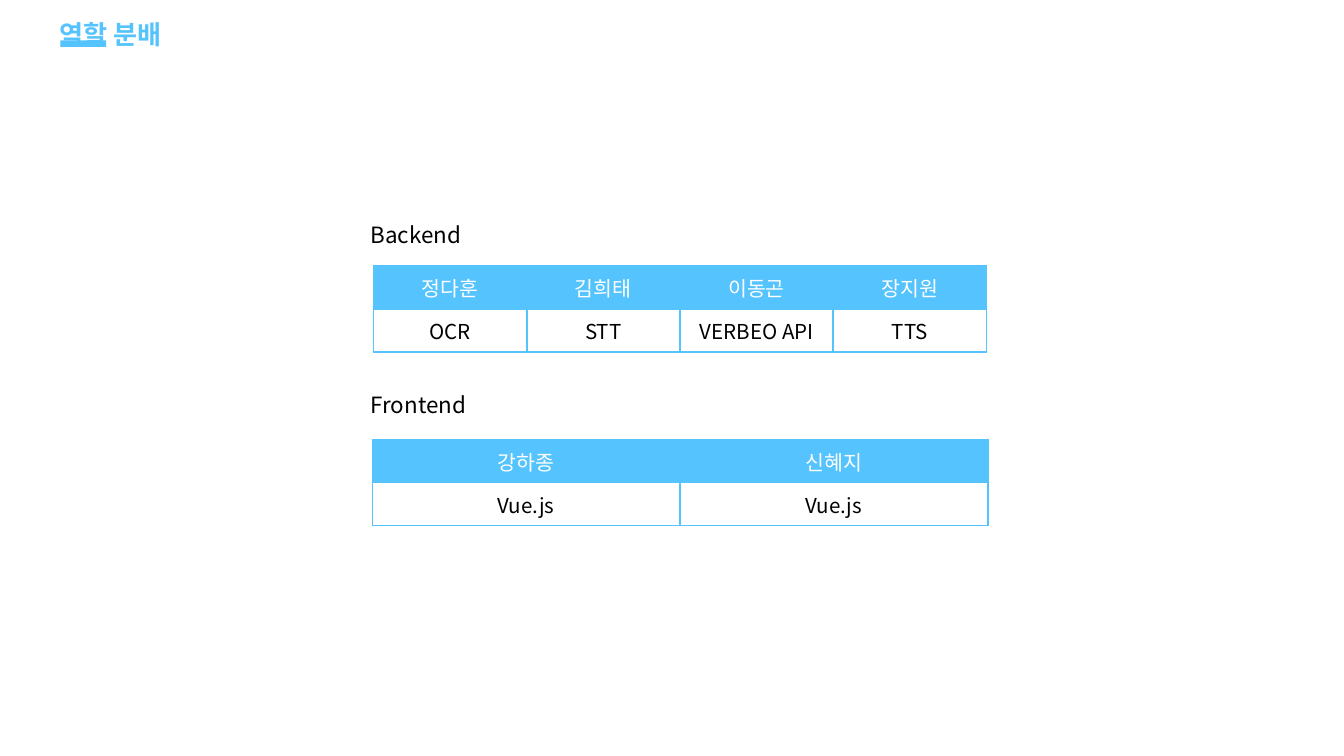
import pptx
import pptx.dml.color
import pptx.enum.shapes
import pptx.enum.text
import pptx.oxml
import pptx.oxml.ns
import pptx.util
from pptx.util import Inches

FONT = "Noto Sans CJK KR"
SKY = pptx.dml.color.RGBColor(0x55, 0xC3, 0xFE)
WHITE = pptx.dml.color.RGBColor(0xFF, 0xFF, 0xFF)
BLACK = pptx.dml.color.RGBColor(0x00, 0x00, 0x00)
LEFT = pptx.enum.text.PP_ALIGN.LEFT
CENTER = pptx.enum.text.PP_ALIGN.CENTER
CENTER_X = 5.06
ROW_HEIGHT = 0.32

# Heading, heading top, table top, table width, rows
TEAMS = [
    ("Backend", 1.6, 1.98, 4.56,
     [["정다훈", "김희태", "이동곤", "장지원"],
      ["OCR", "STT", "VERBEO API", "TTS"]]),
    ("Frontend", 2.86, 3.27, 4.58,
     [["강하종", "신혜지"], ["Vue.js", "Vue.js"]]),
]


def write_text(frame, text, size, color, alignment=LEFT, bold=False):
    frame.text = text
    paragraph = frame.paragraphs[0]
    paragraph.alignment = alignment
    font = paragraph.font
    font.name = FONT
    font.size = pptx.util.Pt(size)
    font.bold = bold
    font.color.rgb = color
    # Korean letters take the East Asian typeface
    latin = paragraph._p.find(".//" + pptx.oxml.ns.qn("a:latin"))
    latin.addnext(pptx.oxml.parse_xml(
        f'<a:ea {pptx.oxml.ns.nsdecls("a")} typeface="{FONT}"/>'))


def add_title(slide, text):
    title = slide.shapes.title
    title.left, title.top = Inches(0.34), Inches(0)
    title.width, title.height = Inches(9.32), Inches(0.97)
    frame = title.text_frame
    frame.vertical_anchor = pptx.enum.text.MSO_ANCHOR.TOP
    frame.auto_size = pptx.enum.text.MSO_AUTO_SIZE.NONE
    frame.margin_left = frame.margin_right = Inches(0.1)
    frame.margin_top = frame.margin_bottom = Inches(0.1)
    write_text(frame, text, 14, SKY, bold=True)
    frame.paragraphs[0].line_spacing = 1.15
    frame.paragraphs[0].space_before = pptx.util.Pt(0)


def add_underline(slide):
    bar = slide.shapes.add_shape(
        pptx.enum.shapes.MSO_SHAPE.RECTANGLE,
        Inches(0.45), Inches(0.3), Inches(0.34), Inches(0.05))
    bar.shadow.inherit = False
    bar.fill.solid()
    bar.fill.fore_color.rgb = SKY
    bar.line.fill.background()


def add_heading(slide, text, top):
    box = slide.shapes.add_textbox(
        Inches(2.66), Inches(top), Inches(0.96), Inches(0.3))
    box.text_frame.word_wrap = True
    write_text(box.text_frame, text, 12, BLACK)


def set_borders(cell):
    properties = cell._tc.get_or_add_tcPr()
    for index, side in enumerate(("lnL", "lnR", "lnT", "lnB")):
        properties.insert(index, pptx.oxml.parse_xml(
            f'<a:{side} {pptx.oxml.ns.nsdecls("a")} w="12700"><a:solidFill>'
            f'<a:srgbClr val="{SKY}"/></a:solidFill></a:{side}>'))


def add_team_table(slide, top, width, rows):
    table = slide.shapes.add_table(
        len(rows), len(rows[0]), Inches(CENTER_X - width / 2), Inches(top),
        Inches(width), Inches(ROW_HEIGHT * len(rows))).table
    table.first_row = table.horz_banding = False
    for row_index, row in enumerate(rows):
        is_header = row_index == 0
        for column_index, text in enumerate(row):
            cell = table.cell(row_index, column_index)
            write_text(cell.text_frame, text, 11,
                       WHITE if is_header else BLACK, CENTER)
            if is_header:
                cell.fill.solid()
                cell.fill.fore_color.rgb = SKY
            else:
                cell.fill.background()
            set_borders(cell)


def main():
    presentation = pptx.Presentation()
    # Widescreen, 16 to 9
    presentation.slide_width = Inches(10)
    presentation.slide_height = presentation.slide_width * 9 // 16
    slide = presentation.slides.add_slide(presentation.slide_layouts[5])

    # Title with its accent bar
    add_title(slide, "역할 분배")
    add_underline(slide)

    # One heading and table per team
    for heading, heading_top, table_top, width, rows in TEAMS:
        add_heading(slide, heading, heading_top)
        add_team_table(slide, table_top, width, rows)

    presentation.save("out.pptx")


if __name__ == "__main__":
    main()
